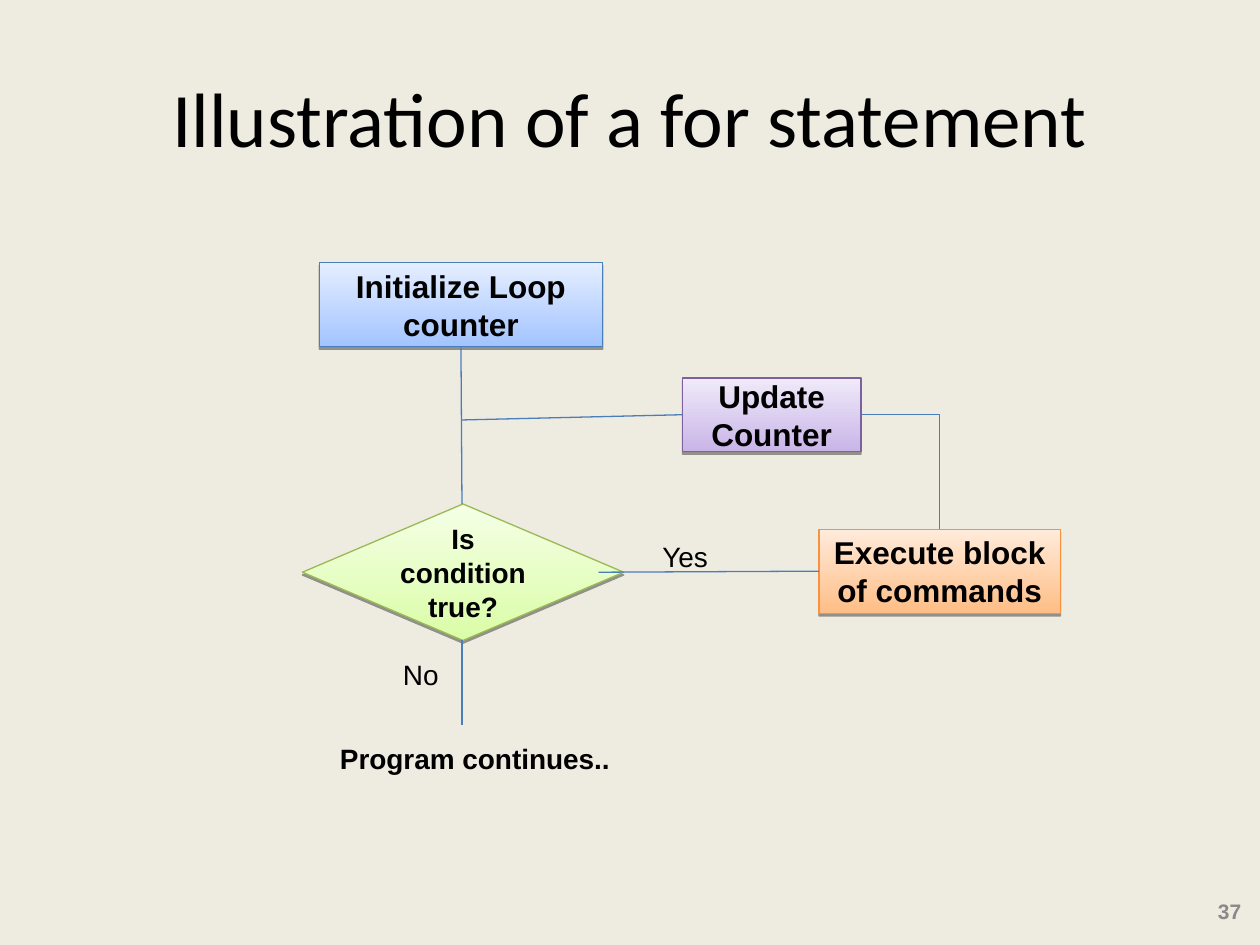
from dataclasses import dataclass

from lxml.etree import SubElement
from pptx import Presentation
from pptx.dml.color import RGBColor
from pptx.enum.shapes import MSO_CONNECTOR as Connector, MSO_SHAPE as Shape
from pptx.enum.text import MSO_ANCHOR as Anchor, MSO_AUTO_SIZE as AutoSize, PP_ALIGN as Align
from pptx.oxml.ns import qn
from pptx.util import Inches, Pt

COLUMNS, ROWS = 120, 90
CELL = Inches(10) / COLUMNS


@dataclass(frozen=True)
class Theme:
    background: str = "EEECE1"
    ink: str = "000000"
    muted: str = "898989"
    wire: str = "4A7EBB"
    # Each tone is bottom colour, top colour, outline
    blue: tuple = ("A3C4FF", "E5EEFF", "4A7EBB")
    green: tuple = ("DAFDA7", "F5FFE6", "98B954")
    purple: tuple = ("C9B5E8", "F0EAF9", "7D60A0")
    orange: tuple = ("FFBE86", "FFEBDB", "F69240")
    heading_font: str = "Calibri"
    body_font: str = "Arial"
    title_size: int = 44
    step_size: int = 18
    label_size: int = 16
    number_size: int = 12
    line_width: float = 0.75


THEME = Theme()


def rgb(value):
    return RGBColor.from_string(value)


def grid(*cells):
    return [round(cell * CELL) for cell in cells]


def write(box, text, size, bold=False, align=Align.LEFT, font=THEME.body_font, color=THEME.ink):
    para = box.text_frame.paragraphs[0]
    para.alignment = align
    span = para.add_run()
    span.text = text
    span.font.name = font
    span.font.size = Pt(size)
    span.font.bold = bold
    span.font.color.rgb = rgb(color)


def add_text(shapes, area, text, size, **style):
    """Add a wrapped text box with its text in the vertical middle."""
    box = shapes.add_textbox(*grid(*area))
    box.text_frame.word_wrap = True
    box.text_frame.vertical_anchor = Anchor.MIDDLE
    write(box, text, size, **style)


def add_label(shapes, area, text, bold=False):
    """Add a one-line text box that fits its text."""
    box = shapes.add_textbox(*grid(*area))
    box.text_frame.word_wrap = False
    box.text_frame.auto_size = AutoSize.SHAPE_TO_FIT_TEXT
    write(box, text, THEME.label_size, bold)


def add_drop_shadow(shape):
    effects = shape._element.spPr.find(qn("a:effectLst"))
    shadow = SubElement(effects, qn("a:outerShdw"), blurRad="0", dist="20000",
                        dir="5400000", rotWithShape="0")
    color = SubElement(shadow, qn("a:srgbClr"), val=THEME.ink)
    SubElement(color, qn("a:alpha"), val="38000")


def add_step(shapes, kind, area, text, tone, size=THEME.step_size):
    bottom, top, outline = tone
    step = shapes.add_shape(kind, *grid(*area))
    step.shadow.inherit = False
    add_drop_shadow(step)
    step.fill.gradient()
    step.fill.gradient_angle = 90
    for stop, color in zip(step.fill.gradient_stops, (bottom, top)):
        stop.color.rgb = rgb(color)
    step.line.color.rgb = rgb(outline)
    step.line.width = Pt(THEME.line_width)
    step.text_frame.word_wrap = True
    step.text_frame.vertical_anchor = Anchor.MIDDLE
    write(step, text, size, bold=True, align=Align.CENTER)


def add_wire(shapes, start, end, kind=Connector.STRAIGHT):
    wire = shapes.add_connector(kind, *grid(*start, *end))
    SubElement(wire._element.spPr, qn("a:effectLst"))
    wire.line.color.rgb = rgb(THEME.wire)
    wire.line.width = Pt(THEME.line_width)
    return wire


def add_corner_wire(shapes, start, end):
    """Go straight up from start, then left to end: a one-bend connector turned by 270 degrees."""
    middle_x, middle_y = (start[0] + end[0]) / 2, (start[1] + end[1]) / 2
    half_run, half_rise = (start[0] - end[0]) / 2, (start[1] - end[1]) / 2
    wire = add_wire(shapes, (middle_x - half_rise, middle_y + half_run),
                    (middle_x + half_rise, middle_y - half_run), Connector.ELBOW)
    properties = wire._element.spPr
    properties.find(qn("a:xfrm")).set("rot", str(270 * 60000))
    properties.find(qn("a:prstGeom")).set("prst", "bentConnector2")


def add_flowchart(shapes):
    process, decision = Shape.FLOWCHART_PROCESS, Shape.FLOWCHART_DECISION
    add_step(shapes, process, (30.4, 25, 27, 8), "Initialize Loop counter", THEME.blue)
    add_step(shapes, decision, (28.8, 48, 30.6, 13), "Is condition true?",
             THEME.green, THEME.label_size)
    add_step(shapes, process, (65, 36, 17, 7), "Update Counter", THEME.purple)
    add_step(shapes, process, (78, 50.4, 23, 8), "Execute block of commands", THEME.orange)

    add_wire(shapes, (57, 54.5), (78, 54.4))
    add_label(shapes, (61.9, 50.8, 7, 4.4), "Yes")
    add_label(shapes, (37.2, 62, 5.8, 4.4), "No")
    add_wire(shapes, (43.9, 33), (44, 48))
    add_wire(shapes, (44, 61), (44, 69))
    add_corner_wire(shapes, (89.5, 50.4), (82, 39.5))
    add_wire(shapes, (65, 39.5), (44, 40))
    add_label(shapes, (31.2, 70, 28.1, 4.4), "Program continues..", bold=True)


def main():
    deck = Presentation()
    deck.slide_width, deck.slide_height = grid(COLUMNS, ROWS)
    page = deck.slides.add_slide(deck.slide_layouts[6])
    page.background.fill.solid()
    page.background.fill.fore_color.rgb = rgb(THEME.background)

    add_text(page.shapes, (6, 3.6, 108, 15), "Illustration of a for statement", THEME.title_size,
             align=Align.CENTER, font=THEME.heading_font)
    add_text(page.shapes, (113.5, 84.7, 5.9, 4.2), "37", THEME.number_size,
             bold=True, align=Align.RIGHT, color=THEME.muted)
    add_flowchart(page.shapes.add_group_shape().shapes)
    deck.save("out.pptx")


if __name__ == "__main__":
    main()
